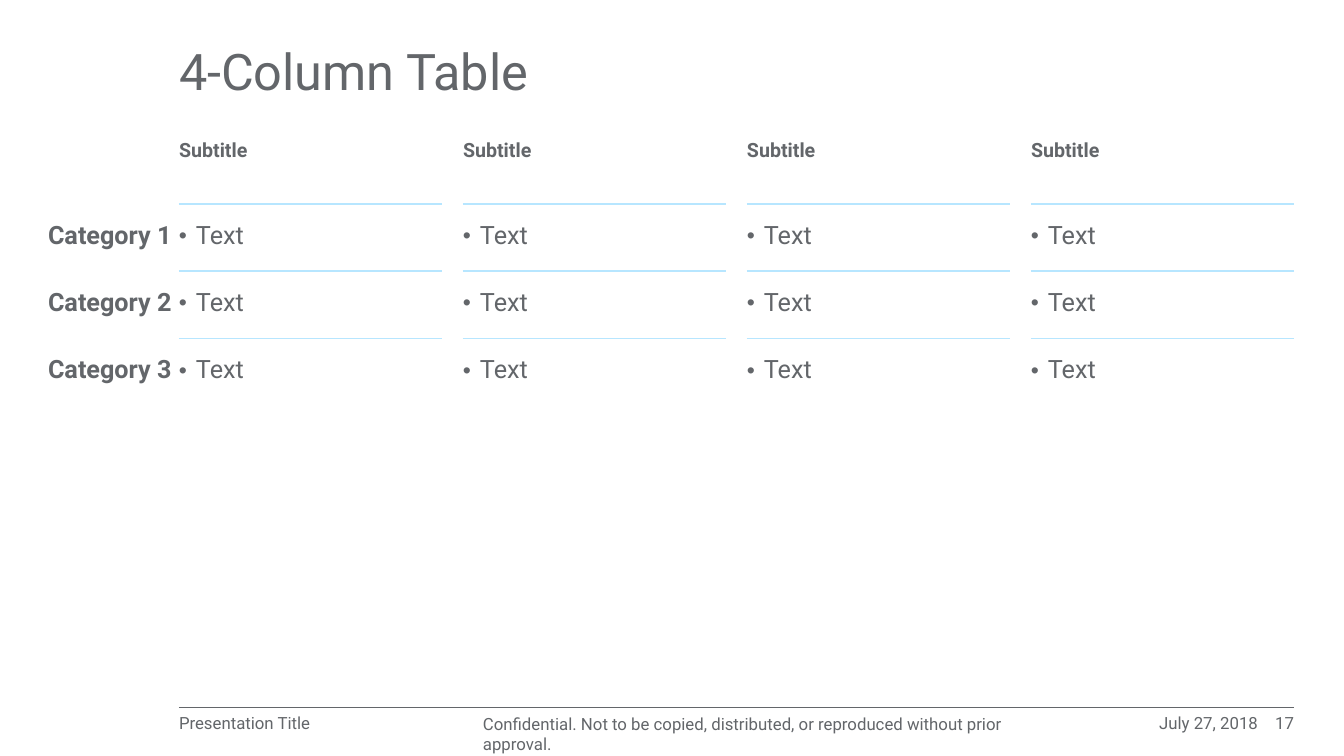
from lxml.etree import SubElement
from pptx import Presentation
from pptx.dml.color import RGBColor
from pptx.enum.shapes import MSO_CONNECTOR as CONNECTOR
from pptx.enum.text import MSO_ANCHOR as ANCHOR, PP_ALIGN as ALIGN
from pptx.oxml import parse_xml
from pptx.oxml.ns import nsdecls, qn
from pptx.util import Pt

PX = 914400 / 100.8
COLORS = {"text": "63666A", "rule": "B7E6FF"}


def px(length):
    return round(length * PX)


def write(frame, text, size=12, bold=False, align=ALIGN.LEFT, anchor=ANCHOR.TOP, spacing=1.0):
    frame.word_wrap = True
    frame.vertical_anchor = anchor
    frame.margin_left = frame.margin_right = frame.margin_top = frame.margin_bottom = 0
    paragraph = frame.paragraphs[0]
    paragraph.alignment = align
    paragraph.line_spacing = spacing
    run = paragraph.add_run()
    run.text = text
    run.font.name = "Roboto"
    run.font.size = Pt(size)
    run.font.bold = bold
    run.font.color.rgb = RGBColor.from_string(COLORS["text"])
    return paragraph


deck = Presentation()
deck.slide_width, deck.slide_height = px(1344), px(756)
slide = deck.slides.add_slide(deck.slide_layouts[6])

LEFT, RIGHT = 179, 1294
COLUMN, GAP = 263, 21
LABEL, ROW = 131, 67

texts = [
    ("4-Column Table", (LEFT, 24, 992, 101), dict(size=36, anchor=ANCHOR.MIDDLE, spacing=0.9)),
    ("Presentation Title", (LEFT, 714, 296, 20), dict(spacing=0.99)),
    ("Confidential. Not to be copied, distributed, or reproduced without prior approval.",
     (483, 714, 569, 20), {}),
    ("July 27, 2018", (1051, 714, 207, 20), dict(align=ALIGN.RIGHT, spacing=0.99)),
    ("17", (1258, 714, 36, 20), dict(align=ALIGN.RIGHT, spacing=0.99)),
]
for column in range(4):
    place = (LEFT + column * (COLUMN + GAP), 125, COLUMN, 37)
    spacing = 0.9 if column else 0.99
    texts.append(("Subtitle", place, dict(size=14, bold=True, anchor=ANCHOR.BOTTOM, spacing=spacing)))
for text, place, look in texts:
    write(slide.shapes.add_textbox(*map(px, place)).text_frame, text, **look)

footer_rule = slide.shapes.add_connector(CONNECTOR.STRAIGHT, px(LEFT), px(707), px(RIGHT), px(707))
footer_rule.line.color.rgb = RGBColor.from_string(COLORS["text"])
footer_rule.line.width = Pt(0.25)
SubElement(footer_rule._element.spPr, qn("a:effectLst"))

categories = ["Category 1", "Category 2", "Category 3"]
widths = [LABEL] + [COLUMN, GAP] * 3 + [COLUMN]
grid = slide.shapes.add_table(
    len(categories), len(widths), px(LEFT - LABEL), px(204), px(sum(widths)), px(ROW * len(categories))
).table
grid.first_row = grid.horz_banding = False
for column, width in enumerate(widths):
    grid.columns[column].width = px(width)

for row, category in enumerate(categories):
    grid.rows[row].height = px(ROW)
    for column in range(len(widths)):
        cell = grid.cell(row, column)
        cell.fill.background()
        cell.margin_left = cell.margin_right = 0
        cell.margin_top, cell.margin_bottom = px(17), px(20)
        has_text = column % 2 == 1
        if column == 0:
            write(cell.text_frame, category, size=18, bold=True)
        elif has_text:
            item = write(cell.text_frame, "Text", size=18)._p.get_or_add_pPr()
            item.set("marL", str(px(17)))
            item.set("indent", str(-px(17)))
            SubElement(item, qn("a:buSzPct"), val="91000")
            SubElement(item, qn("a:buFont"), typeface="Arial")
            SubElement(item, qn("a:buChar"), char="•")
        ruled = {"T": has_text, "B": has_text and row < len(categories) - 1}
        for position, side in enumerate("LRTB"):
            if ruled.get(side):
                paint = f'<a:solidFill><a:srgbClr val="{COLORS["rule"]}"/></a:solidFill>'
            else:
                paint = "<a:noFill/>"
            border = parse_xml(f'<a:ln{side} {nsdecls("a")} w="{Pt(1.5)}">{paint}</a:ln{side}>')
            cell._tc.get_or_add_tcPr().insert(position, border)

deck.save("out.pptx")
